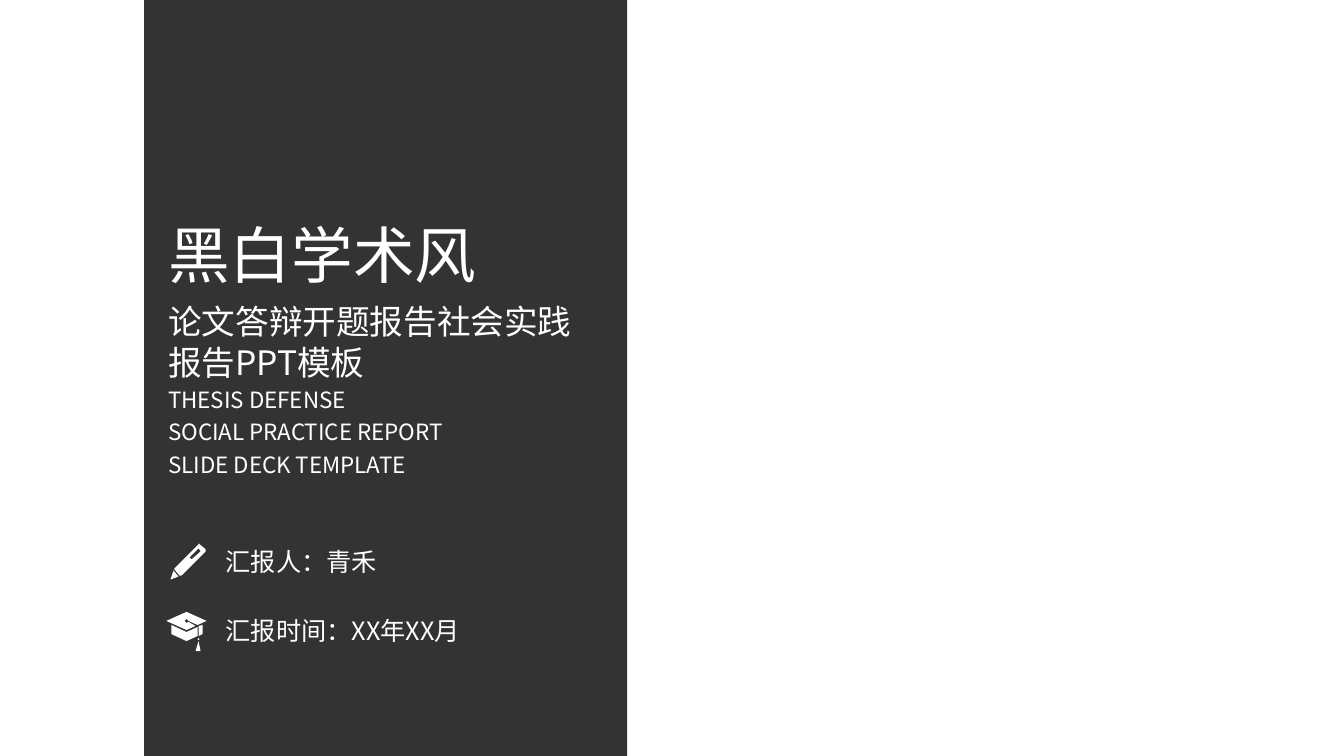
from lxml import etree
from pptx import Presentation
from pptx.dml.color import RGBColor
from pptx.enum import shapes, text
from pptx.oxml import ns
from pptx.util import Inches, Pt

BLACK = RGBColor(0, 0, 0)
WHITE = RGBColor(255, 255, 255)

# Each outline is a list of closed contours, in inches on the slide.
CAP = [
    [(1.97, 6.36), (1.99, 6.46), (1.94, 6.46)],
    [(1.97, 6.33), (1.98, 6.34), (1.97, 6.35), (1.96, 6.34)],
    [(2.01, 6.2), (2.01, 6.29), (1.97, 6.31), (1.97, 6.21)],
    [(1.7, 6.2), (1.85, 6.27), (1.96, 6.22), (1.96, 6.31),
     (1.85, 6.36), (1.7, 6.29)],
    [(1.85, 6.07), (2.05, 6.16), (1.96, 6.2), (1.87, 6.16),
     (1.85, 6.14), (1.83, 6.16), (1.85, 6.18), (1.87, 6.17),
     (1.94, 6.21), (1.85, 6.25), (1.65, 6.16)],
]
PEN = [
    [(1.72, 5.66), (1.77, 5.72), (1.69, 5.75)],
    [(1.97, 5.44), (1.88, 5.53), (1.9, 5.55), (1.99, 5.47)],
    [(1.97, 5.39), (1.98, 5.4), (2.04, 5.45), (2.04, 5.47), (1.8, 5.71),
     (1.78, 5.71), (1.73, 5.65), (1.73, 5.64), (1.97, 5.4)],
]


class Cover:
    font = "Noto Sans CJK SC"

    def __init__(self, slide):
        self.slide = slide

    def paint(self, shape, color):
        shape.shadow.inherit = False
        shape.fill.solid()
        shape.fill.fore_color.rgb = color
        shape.line.fill.background()

    def panel(self, left, top, width, height, alpha):
        """Draw a black panel whose opacity is alpha percent."""
        box = self.slide.shapes.add_shape(
            shapes.MSO_SHAPE.RECTANGLE, Inches(left), Inches(top),
            Inches(width), Inches(height))
        self.paint(box, BLACK)
        tone = box.fill._xPr.find(".//" + ns.qn("a:srgbClr"))
        etree.SubElement(tone, ns.qn("a:alpha"), val=str(alpha * 1000))

    def icon(self, loops):
        pen = None
        for loop in loops:
            start, *rest = [(Inches(x), Inches(y)) for x, y in loop]
            if pen is None:
                pen = self.slide.shapes.build_freeform(*start)
            else:
                pen.move_to(*start)
            pen.add_line_segments(rest, close=True)
        self.paint(pen.convert_to_shape(), WHITE)

    def label(self, left, top, width, height, size, lines, space=None):
        box = self.slide.shapes.add_textbox(
            Inches(left), Inches(top), Inches(width), Inches(height))
        frame = box.text_frame
        frame.word_wrap = True
        frame.auto_size = text.MSO_AUTO_SIZE.SHAPE_TO_FIT_TEXT
        for i, line in enumerate(lines):
            para = frame.add_paragraph() if i else frame.paragraphs[0]
            para.line_spacing = space
            run = para.add_run()
            run.text = line
            run.font.size = Pt(size)
            run.font.color.rgb = WHITE
            run.font.name = self.font
            etree.SubElement(run.font._element, ns.qn("a:ea"),
                             typeface=self.font)


def main():
    deck = Presentation()
    deck.slide_width, deck.slide_height = Inches(13.33), Inches(7.5)
    cover = Cover(deck.slides.add_slide(deck.slide_layouts[6]))

    cover.panel(1.43, 0, 4.79, 7.5, 80)
    left, width = 1.57, 4.52
    cover.label(left, 2.1, width, 0.84, 44, ["黑白学术风"])
    cover.label(left, 3.73, width, 1.04, 16, [
        "THESIS DEFENSE", "SOCIAL PRACTICE REPORT", "SLIDE DECK TEMPLATE"],
        space=1.2)
    for top, line, loops in ((5.37, "汇报人：青禾", PEN),
                             (6.06, "汇报时间：XX年XX月", CAP)):
        cover.label(2.14, top, 2.76, 0.4, 18, [line])
        cover.icon(loops)
    cover.label(left, 2.94, width, 0.91, 24,
                ["论文答辩开题报告社会实践报告PPT模板"])
    deck.save("out.pptx")


if __name__ == "__main__":
    main()
